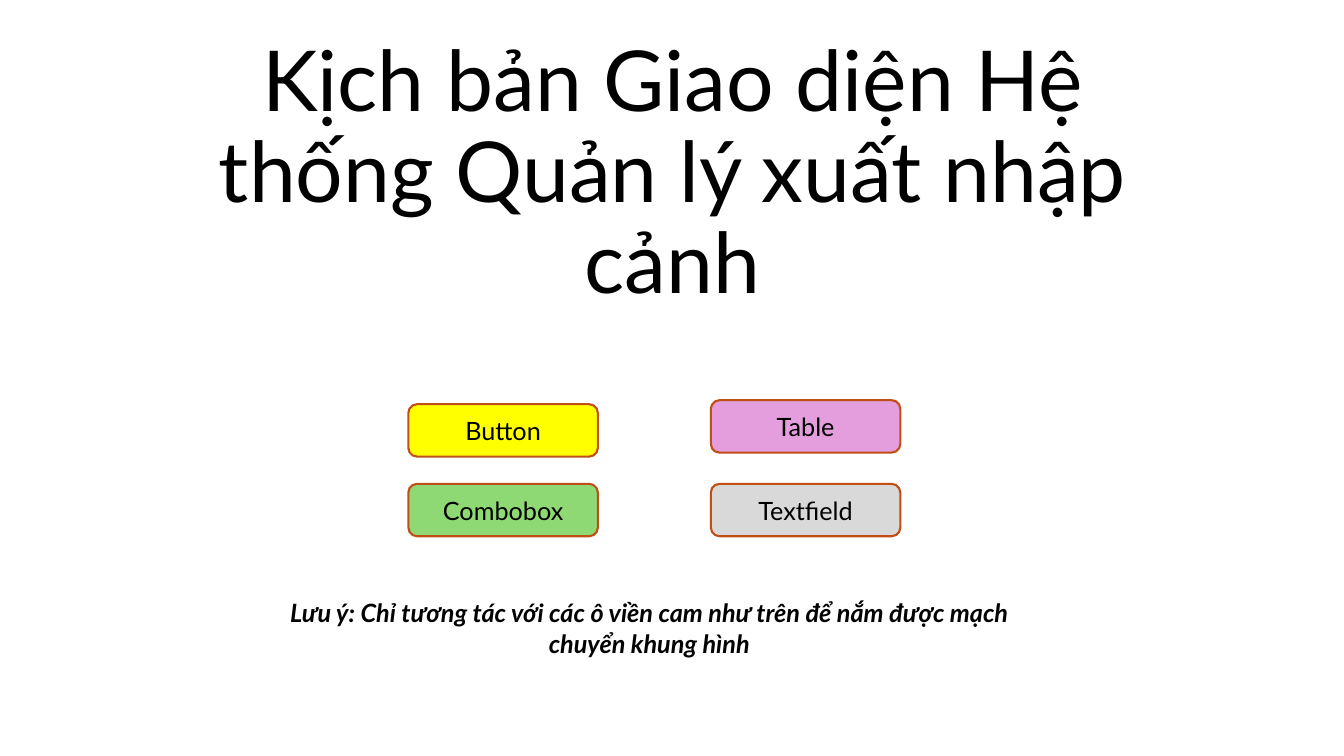
from pptx import Presentation
from pptx.dml.color import RGBColor
from pptx.enum.shapes import MSO_SHAPE
from pptx.enum.text import MSO_ANCHOR, PP_ALIGN
from pptx.util import Inches, Pt

FONT = "Lato"
COLORS = {
    "text": "000000",
    "border": "C04F15",
    "button": "FFFF00",
    "combobox": "8ED973",
    "textfield": "D9D9D9",
    "table": "E59EDD",
}
COLUMNS = (4.05, 7.05)
ROWS = (4.01, 4.8)
TABLE_TOP = 3.97  # the Table box sits slightly above its row
BOX_SIZE = (1.88, 0.52)

LEGEND = [
    ("Button", COLUMNS[0], ROWS[0]),
    ("Combobox", COLUMNS[0], ROWS[1]),
    ("Textfield", COLUMNS[1], ROWS[1]),
    ("Table", COLUMNS[1], TABLE_TOP),
]


def color(name):
    return RGBColor.from_string(COLORS[name])


def write(sp, text, size, anchor, emphasis=False):
    """Put one centred paragraph into a shape."""
    tf = sp.text_frame
    tf.word_wrap = True
    tf.vertical_anchor = anchor
    p = tf.paragraphs[0]
    p.text = text
    p.alignment = PP_ALIGN.CENTER
    p.font.name = FONT
    p.font.size = Pt(size)
    p.font.bold = p.font.italic = emphasis
    p.font.color.rgb = color("text")
    return p


def add_text(s, text, box, size, anchor=MSO_ANCHOR.TOP, emphasis=False):
    sp = s.shapes.add_textbox(*map(Inches, box))
    return write(sp, text, size, anchor, emphasis)


def add_legend_box(s, label, left, top):
    sp = s.shapes.add_shape(MSO_SHAPE.ROUNDED_RECTANGLE,
                            *map(Inches, (left, top, *BOX_SIZE)))
    sp.shadow.inherit = False
    sp.fill.solid()
    sp.fill.fore_color.rgb = color(label.lower())
    sp.line.color.rgb = color("border")
    sp.line.width = Pt(1.5)
    write(sp, label, 18, MSO_ANCHOR.MIDDLE)


def main():
    prs = Presentation()
    prs.slide_width, prs.slide_height = Inches(13.33), Inches(7.5)
    s = prs.slides.add_slide(prs.slide_layouts[6])

    title = add_text(s, "Kịch bản Giao diện Hệ thống Quản lý xuất nhập cảnh",
                     (1.67, 0.53, 10, 2.61), 60, MSO_ANCHOR.BOTTOM)
    title.line_spacing = 0.9
    for label, left, top in LEGEND:
        add_legend_box(s, label, left, top)
    add_text(s, "Lưu ý: Chỉ tương tác với các ô viền cam như trên để nắm được "
                "mạch chuyển khung hình",
             (2.43, 5.88, 8.02, 0.71), 18, emphasis=True)

    prs.save("out.pptx")


if __name__ == "__main__":
    main()
